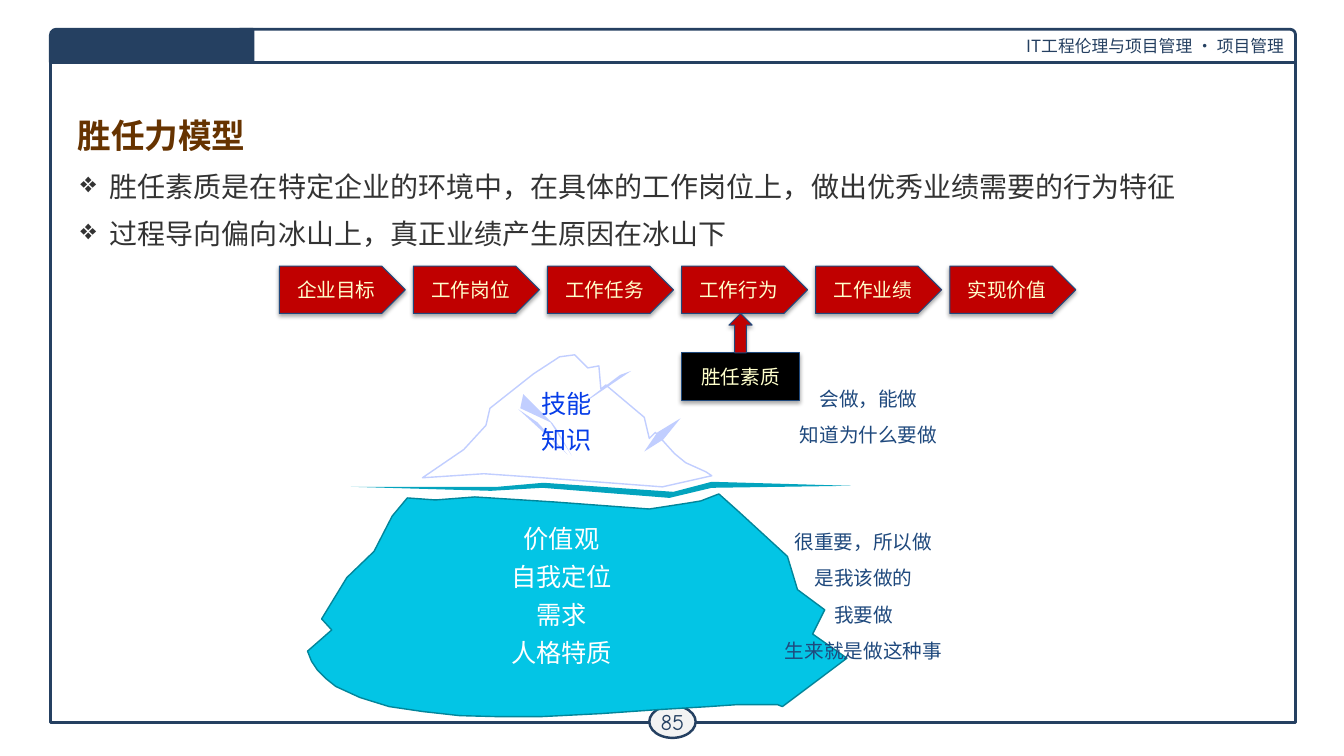
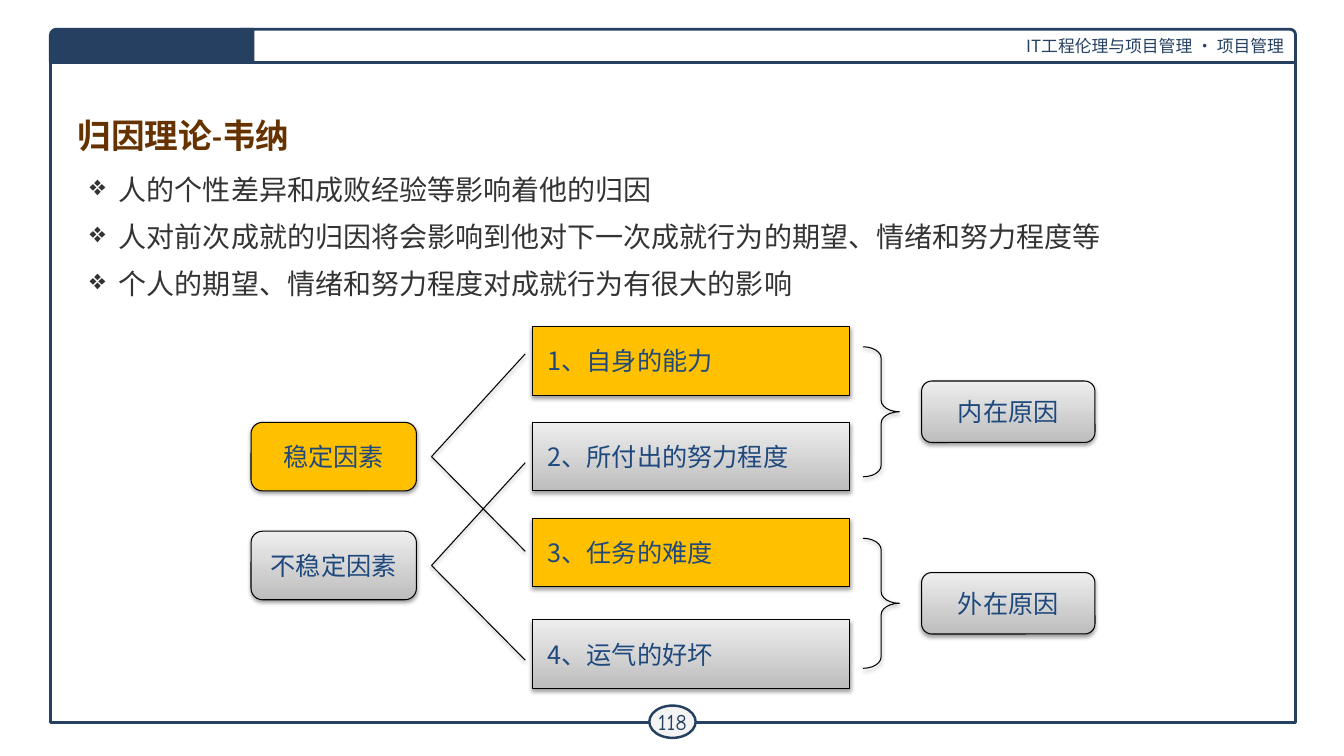
from lxml.etree import SubElement
from pptx import Presentation
from pptx.dml.color import RGBColor
from pptx.enum.shapes import MSO_CONNECTOR as LINK, MSO_SHAPE as SHAPE
from pptx.enum.text import MSO_ANCHOR as ANCHOR, PP_ALIGN as ALIGN
from pptx.oxml.ns import qn
from pptx.util import Inches, Pt

HEX = {
    "navy": "254061", "blue": "1F497D", "brown": "663300", "text": "333333",
    "white": "FFFFFF", "black": "000000", "pale": "F3F3F3", "red": "C00000",
    "cream": "FFFFCC", "gold": "FFC000", "dark": "BDBDBD", "light": "EEEEEE",
    "snow": "C1CEFF", "skill": "063DE8", "ice": "03C5E5", "edge": "02859A",
    "sea": "03A4BE",
}
SANS, SERIF, ROUND = "Noto Sans CJK SC", "Cambria", "Comic Neue"
HEADER = "IT工程伦理与项目管理 · 项目管理"

MODEL = {
    "title": "胜任力模型", "page": "85", "font": SANS,
    "box": (0.7, 1.63, 11.27, 1.07),
    "points": [
        "胜任素质是在特定企业的环境中，在具体的工作岗位上，做出优秀业绩需要的行为特征",
        "过程导向偏向冰山上，真正业绩产生原因在冰山下",
    ],
}
CAUSES = {
    "title": "归因理论-韦纳", "page": "118", "font": SERIF,
    "box": (0.79, 1.66, 10.99, 1.72),
    "points": [
        "人的个性差异和成败经验等影响着他的归因",
        "人对前次成就的归因将会影响到他对下一次成就行为的期望、情绪和努力程度等",
        "个人的期望、情绪和努力程度对成就行为有很大的影响",
    ],
}

STEPS = ["企业目标", "工作岗位", "工作任务", "工作行为", "工作业绩", "实现价值"]
QUALITY = "胜任素质"
# box, size, colour, line height in points, lines
LABELS = [
    ((5.25, 3.74, 0.74, 0.81), 18, "skill", 25.4, ["技能", "知识"]),
    ((4.95, 5.06, 1.24, 1.63), 18, "white", 27,
     ["价值观", "自我定位", "需求", "人格特质"]),
    ((7.81, 3.65, 1.61, 0.8), 14, "blue", 26, ["会做，能做", "知道为什么要做"]),
    ((7.11, 5.07, 2.91, 1.58), 14, "blue", 26,
     ["很重要，所以做", "是我该做的", "我要做", "生来就是做这种事"]),
]
# fill, line, corners in hundredths of an inch
BERG = [
    ("white", "snow", [
        (657, 483), (538, 474), (480, 470), (419, 474), (460, 446), (482, 422),
        (486, 405), (529, 371), (555, 354), (570, 352), (583, 365), (594, 363),
        (596, 386), (601, 382), (639, 414), (644, 435), (650, 429), (669, 450),
        (680, 459), (700, 468), (706, 472)]),
    ("ice", "edge", [
        (389, 512), (404, 494), (432, 496), (471, 493), (550, 498), (644, 505),
        (683, 499), (695, 497), (713, 490), (732, 507), (781, 552), (791, 585),
        (818, 605), (806, 629), (840, 653), (776, 701), (771, 699), (732, 699),
        (703, 701), (653, 704), (596, 708), (536, 711), (495, 711), (456, 710),
        (420, 706), (386, 701), (357, 692), (333, 681), (323, 673), (315, 665),
        (309, 656), (305, 646), (329, 625), (319, 614), (344, 573), (371, 547)]),
    ("snow", None, [(675, 415), (658, 436), (639, 448), (652, 429)]),
    ("snow", None, [(626, 368), (570, 406), (615, 372)]),
    ("snow", None, [(514, 406), (563, 451), (533, 419)]),
    ("snow", None, [(516, 405), (519, 391), (548, 420), (553, 427), (567, 452),
                    (546, 419)]),
    ("sea", None, [
        (348, 483), (494, 483), (539, 479), (668, 488), (706, 478), (844, 482),
        (706, 484), (664, 494), (538, 484), (487, 487)]),
]

# text, top, fill
FACTORS = [("稳定因素", 4.19, "gold"), ("不稳定因素", 5.27, "grey")]
ITEMS = [
    ("1、自身的能力", 3.24, "gold"), ("2、所付出的努力程度", 4.19, "grey"),
    ("3、任务的难度", 5.14, "gold"), ("4、运气的好坏", 6.15, "grey"),
]
ORIGINS = ["内在原因", "外在原因"]


def rgb(name):
    return RGBColor.from_string(HEX[name])


def write(frame, lines, size, color, font=SANS, align=ALIGN.LEFT, bold=False,
          pitch=None, bullet=False):
    for i, line in enumerate(lines):
        para = frame.paragraphs[0] if i == 0 else frame.add_paragraph()
        para.text = line
        para.alignment = align
        props = para._p.get_or_add_pPr()
        if bullet:
            props.set("marL", str(Inches(0.29)))
            props.set("indent", str(-Inches(0.29)))
            SubElement(props, qn("a:buChar")).set("char", "❖")
            para.space_after = Pt(2.4)
            if i:
                para.space_before = Pt(7.2)
        if pitch:
            para.line_spacing = Pt(pitch)
        style = para.font
        style.name, style.size, style.bold = font, Pt(size), bold
        style.color.rgb = rgb(color)
        asian = SubElement(props.find(qn("a:defRPr")), qn("a:ea"))
        asian.set("typeface", SANS)


def text(slide, box, lines, size, color, inset=None, anchor=ANCHOR.TOP,
         wrap=True, **style):
    frame = slide.shapes.add_textbox(*map(Inches, box)).text_frame
    frame.word_wrap = wrap
    frame.vertical_anchor = anchor
    if inset:
        frame.margin_left = frame.margin_right = Inches(inset[0])
        frame.margin_top = frame.margin_bottom = Inches(inset[1])
    write(frame, lines, size, color, **style)


def paint(shape, fill, line, width):
    shape.shadow.inherit = False
    if fill == "grey":
        shape.fill.gradient()
        shape.fill.gradient_angle = 90
        for stop, name in zip(shape.fill.gradient_stops, ("dark", "light")):
            stop.color.rgb = rgb(name)
    elif fill:
        shape.fill.solid()
        shape.fill.fore_color.rgb = rgb(fill)
    else:
        shape.fill.background()
    if line:
        shape.line.color.rgb = rgb(line)
        shape.line.width = Pt(width)
    else:
        shape.line.fill.background()


def cast(shape, alpha, dist):
    """Give a shape or connector a soft shadow straight below it."""
    props = shape._element.spPr
    effects = props.find(qn("a:effectLst"))
    if effects is None:
        effects = SubElement(props, qn("a:effectLst"))
    outer = SubElement(effects, qn("a:outerShdw"), blurRad=str(Pt(3.1)),
                       dist=str(Pt(dist)), dir="5400000", rotWithShape="0")
    color = SubElement(outer, qn("a:srgbClr"), val=HEX["black"])
    SubElement(color, qn("a:alpha"), val=str(alpha * 1000))


def block(slide, kind, box, fill, line, width=0.75):
    shape = slide.shapes.add_shape(kind, *map(Inches, box))
    paint(shape, fill, line, width)
    shape.text_frame.vertical_anchor = ANCHOR.MIDDLE
    return shape


def base(deck, topic):
    """Add a slide with the shared frame, title and bullet points."""
    slide = deck.slides.add_slide(deck.slide_layouts[6])
    block(slide, SHAPE.RECTANGLE, (0.5, 0.5, 12.35, 6.67), None, "navy", 2)
    band = block(slide, SHAPE.ROUND_1_RECTANGLE, (2.38, 0.29, 10.47, 0.33),
                 "white", "navy", 2)
    write(band.text_frame, [HEADER], 12, "navy", align=ALIGN.RIGHT)
    badge = block(slide, SHAPE.OVAL, (6.44, 7, 0.46, 0.32), "pale", "navy", 1.75)
    frame = badge.text_frame
    frame.word_wrap = False
    frame.margin_left = frame.margin_right = Inches(0.04)
    frame.margin_top = frame.margin_bottom = Inches(0.04)
    write(frame, [topic["page"]], 16, "navy", ROUND, ALIGN.CENTER)
    tab = block(slide, SHAPE.ROUND_1_RECTANGLE, (0.5, 0.29, 2.01, 0.33),
                "navy", "navy", 2)
    tab.adjustments[0] = 0.175
    tab._element.spPr.find(qn("a:xfrm")).set("flipH", "1")
    text(slide, (0.67, 1.1, 12, 0.48), [topic["title"]], 24, "brown",
         anchor=ANCHOR.MIDDLE, font=SERIF, bold=True)
    text(slide, topic["box"], topic["points"], 20, "text", font=topic["font"],
         pitch=24, bullet=True)
    return slide


def model(deck):
    slide = base(deck, MODEL)

    def stage(kind, box, fill, label=None):
        shape = block(slide, kind, box, fill, "blue")
        cast(shape, 35, 1.8)
        if label:
            write(shape.text_frame, [label], 14, "cream", align=ALIGN.CENTER)

    for i, step in enumerate(STEPS):
        stage(SHAPE.PENTAGON, (2.77 + 1.33 * i, 2.64, 1.25, 0.47), "red", step)
    stage(SHAPE.RECTANGLE, (6.76, 3.5, 1.17, 0.47), "black", QUALITY)
    stage(SHAPE.UP_ARROW, (7.23, 3.11, 0.23, 0.39), "red")

    for fill, line, corners in BERG:
        path = slide.shapes.build_freeform(*corners[0], scale=Inches(0.01))
        path.add_line_segments(corners[1:], close=True)
        paint(path.convert_to_shape(), fill, line, 1)
    for box, size, color, pitch, lines in LABELS:
        text(slide, box, lines, size, color, inset=(0.12, 0.06), wrap=False,
             align=ALIGN.CENTER, pitch=pitch)


def causes(deck):
    slide = base(deck, CAUSES)

    def node(kind, box, fill, label=None, align=ALIGN.CENTER):
        shape = block(slide, kind, box, fill, "black")
        cast(shape, 38, 1.6)
        if label:
            write(shape.text_frame, [label], 18, "blue", align=align)
        return shape

    tall = 0.68
    for label, top, fill in ITEMS:
        item = node(SHAPE.RECTANGLE, (5.28, top, 3.15, tall), fill, label,
                    ALIGN.LEFT)
        item.text_frame.margin_left = Inches(0.15)
    for i, label in enumerate(ORIGINS):
        top, span, high = 3.44 + 1.9 * i, 1.29, 0.61
        brace = node(SHAPE.RIGHT_BRACE, (8.56, top, 0.36, span), None)
        brace.adjustments[0] = 0.316
        node(SHAPE.FLOWCHART_ALTERNATE_PROCESS,
             (9.14, top + (span - high) / 2, 1.72, high), "grey", label)
    for label, top, fill in FACTORS:
        node(SHAPE.FLOWCHART_ALTERNATE_PROCESS, (2.49, top, 1.64, tall), fill,
             label)
        mid = top + tall / 2
        for shift in (-1.02, 0.94):
            ends = (4.28, mid, 5.21, mid + shift)
            line = slide.shapes.add_connector(LINK.STRAIGHT, *map(Inches, ends))
            line.line.color.rgb = rgb("black")
            line.line.width = Pt(0.75)
            cast(line, 38, 1.6)


def main():
    deck = Presentation()
    deck.slide_width, deck.slide_height = Inches(13.33), Inches(7.5)
    model(deck)
    causes(deck)
    deck.save("out.pptx")


if __name__ == "__main__":
    main()
